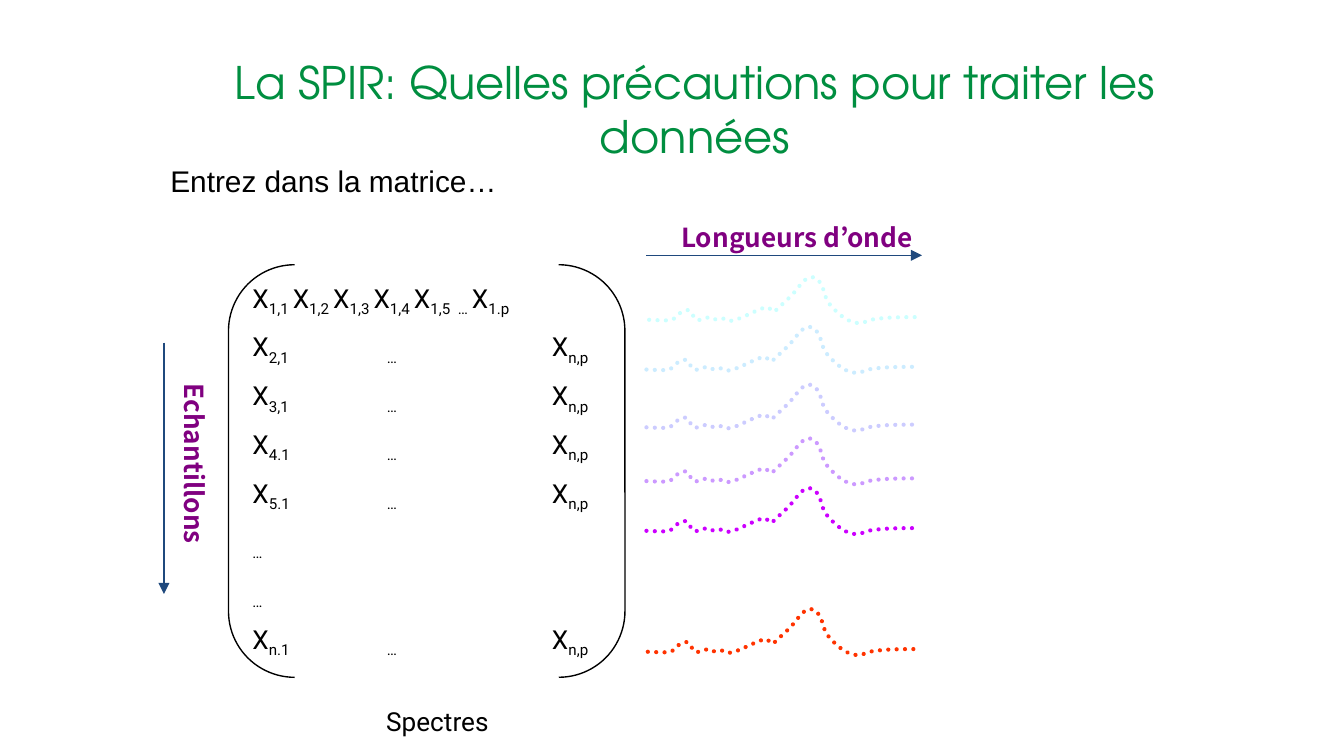
from dataclasses import dataclass

from lxml.etree import SubElement
from pptx import Presentation
from pptx.dml.color import RGBColor
from pptx.enum.dml import MSO_LINE
from pptx.enum.shapes import MSO_CONNECTOR, MSO_SHAPE
from pptx.enum.text import MSO_ANCHOR, MSO_AUTO_SIZE, PP_ALIGN
from pptx.oxml.ns import qn
from pptx.util import Pt

COLORS = {"title": "008E40", "text": "000000", "axis": "800080", "arrow": "1F497D"}
SUB = "-25000"
TAB_STOPS = (72, 160.5)
UNIT = Pt(0.72)  # spectrum grid step

# One spectrum: start point, then Bezier triples (two controls, end)
START = (0, 33)
CURVE = [
    (3, 33), (13, 34), (17, 33), (20, 32), (20, 29), (23, 28),
    (25, 27), (28, 25), (30, 26), (32, 27), (33, 32), (35, 33),
    (38, 34), (43, 31), (45, 31), (48, 31), (48, 33), (50, 33),
    (52, 33), (55, 32), (57, 32), (59, 32), (59, 35), (64, 33),
    (69, 32), (81, 25), (86, 24), (91, 22), (90, 28), (93, 27),
    (96, 25), (100, 20), (105, 16), (109, 12), (114, 4), (118, 2),
    (122, 0), (125, 2), (127, 5), (130, 8), (130, 16), (134, 21),
    (138, 26), (146, 34), (153, 35), (159, 37), (164, 32), (172, 32),
    (180, 31), (194, 31), (199, 31),
]


@dataclass
class Label:
    text: str
    left: float
    top: float
    width: float
    height: float
    font: str
    size: float = 14
    color: str = "text"
    bold: bool = False
    align: PP_ALIGN = PP_ALIGN.LEFT
    rotation: float = 0


@dataclass
class Arrow:
    x1: float
    y1: float
    x2: float
    y2: float


@dataclass
class Spectrum:
    left: float
    top: float
    color: str


LABELS = [
    Label("Entrez dans la matrice…", 84.24, 83.52, 293, 30, "Arial", 16),
    Label("Longueurs d’onde", 357.84, 115.2, 144, 41, "Noto Sans CJK KR",
          color="axis", bold=True),
    Label("Echantillons", 53.28, 237.6, 102.24, 23.76, "Noto Sans CJK KR",
          color="axis", bold=True, rotation=90),
    Label("Spectres", 156.24, 374.4, 156.24, 23.76, "Roboto", align=PP_ALIGN.CENTER),
]
ARROWS = [Arrow(346.32, 136.8, 493.92, 136.8), Arrow(87.84, 183.6, 87.84, 318.24)]
SPECTRA = [
    Spectrum(347.76, 147.6, "CCFFFF"),
    Spectrum(346.32, 174.24, "CCECFF"),
    Spectrum(346.32, 205.2, "CCCCFF"),
    Spectrum(346.32, 234, "CC99FF"),
    Spectrum(346.32, 260.64, "CC00FF"),
    Spectrum(347.04, 325.44, "FF3300"),
]


def rgb(name: str) -> RGBColor:
    return RGBColor.from_string(COLORS.get(name, name))


def add_run(p, text: str, font: str, size: float, color: str = "text",
            bold: bool = False, baseline: str = ""):
    r = p.add_run()
    r.text = text
    r.font.name, r.font.size, r.font.bold = font, Pt(size), bold
    r.font.color.rgb = rgb(color)
    if baseline:
        r._r.get_or_add_rPr().set("baseline", baseline)


def add_box(s, left: float, top: float, width: float, height: float):
    sp = s.shapes.add_textbox(Pt(left), Pt(top), Pt(width), Pt(height))
    sp.text_frame.word_wrap = True
    return sp


def add_label(s, label: Label):
    sp = add_box(s, label.left, label.top, label.width, label.height)
    sp.rotation = label.rotation
    p = sp.text_frame.paragraphs[0]
    p.alignment = label.align
    add_run(p, label.text, label.font, label.size, label.color, label.bold)


def add_arrow(s, arrow: Arrow):
    c = s.shapes.add_connector(MSO_CONNECTOR.STRAIGHT, Pt(arrow.x1), Pt(arrow.y1),
                               Pt(arrow.x2), Pt(arrow.y2))
    c.line.color.rgb, c.line.width = rgb("arrow"), Pt(0.75)
    SubElement(c.line._get_or_add_ln(), qn("a:tailEnd"), type="triangle")
    SubElement(c._element.spPr, qn("a:effectLst"))


def add_spectrum(s, spectrum: Spectrum):
    fb = s.shapes.build_freeform(*START, scale=UNIT)
    fb.add_line_segments(CURVE, close=False)
    sp = fb.convert_to_shape(Pt(spectrum.left), Pt(spectrum.top))
    sp.shadow.inherit = False
    sp.fill.background()
    sp.line.color.rgb, sp.line.width = rgb(spectrum.color), Pt(2.25)
    sp.line.dash_style = MSO_LINE.ROUND_DOT
    sp.line._get_or_add_ln().set("cap", "rnd")
    # Turn each three segments into one Bezier curve
    path = sp._element.find(".//" + qn("a:path"))
    segments = path.findall(qn("a:lnTo"))
    for i in range(0, len(segments), 3):
        bezier = SubElement(path, qn("a:cubicBezTo"))
        for segment in segments[i:i + 3]:
            bezier.append(segment[0])
            path.remove(segment)


def matrix_rows() -> list:
    """Rows of (text, subscript) pairs."""
    first = [(("X"), f"1,{i} ") for i in range(1, 5)] + [("X", "1,5  … "), ("X", "1.p")]
    indices = ["2,1", "3,1", "4.1", "5.1", "", "", "n.1"]
    return [first] + [[("X", f"{i}\t…\t"), ("X", "n,p")] if i else [("", "…")]
                      for i in indices]


def add_matrix(s):
    tf = add_box(s, 128.16, 147.6, 206.64, 210.96).text_frame
    for i, row in enumerate(matrix_rows()):
        p = tf.add_paragraph() if i else tf.paragraphs[0]
        tabs = SubElement(p._p.get_or_add_pPr(), qn("a:tabLst"))
        for stop in TAB_STOPS:
            SubElement(tabs, qn("a:tab"), pos=str(Pt(stop)), algn="l")
        p.space_before = Pt(7 if i else 0)
        for base, sub in row:
            if base:
                add_run(p, base, "Roboto", 14)
            add_run(p, sub, "Roboto", 14, baseline=SUB)

    # Brackets around the matrix
    sp = s.shapes.add_shape(MSO_SHAPE.DOUBLE_BRACKET, Pt(122.4), Pt(141.84),
                            Pt(212.4), Pt(221.04))
    sp.adjustments[0] = 0.167
    sp.shadow.inherit = False
    sp.fill.background()
    sp.line.color.rgb, sp.line.width = rgb("text"), Pt(0.75)


def add_title(s, text: str):
    sp = s.shapes.title
    sp.left, sp.top, sp.width, sp.height = Pt(69.84), Pt(25.92), Pt(604.8), Pt(36)
    tf = sp.text_frame
    tf.word_wrap, tf.auto_size = True, MSO_AUTO_SIZE.NONE
    tf.vertical_anchor = MSO_ANCHOR.TOP
    p = tf.paragraphs[0]
    p.alignment = PP_ALIGN.CENTER
    add_run(p, text, "TeX Gyre Adventor", 24, "title")


def main():
    prs = Presentation()
    prs.slide_width, prs.slide_height = Pt(720), Pt(405)
    s = prs.slides.add_slide(prs.slide_layouts[5])
    add_title(s, "La SPIR: Quelles précautions pour traiter les données")
    add_matrix(s)
    for arrow in ARROWS:
        add_arrow(s, arrow)
    for spectrum in SPECTRA:
        add_spectrum(s, spectrum)
    for label in LABELS:
        add_label(s, label)
    prs.save("out.pptx")


if __name__ == "__main__":
    main()
